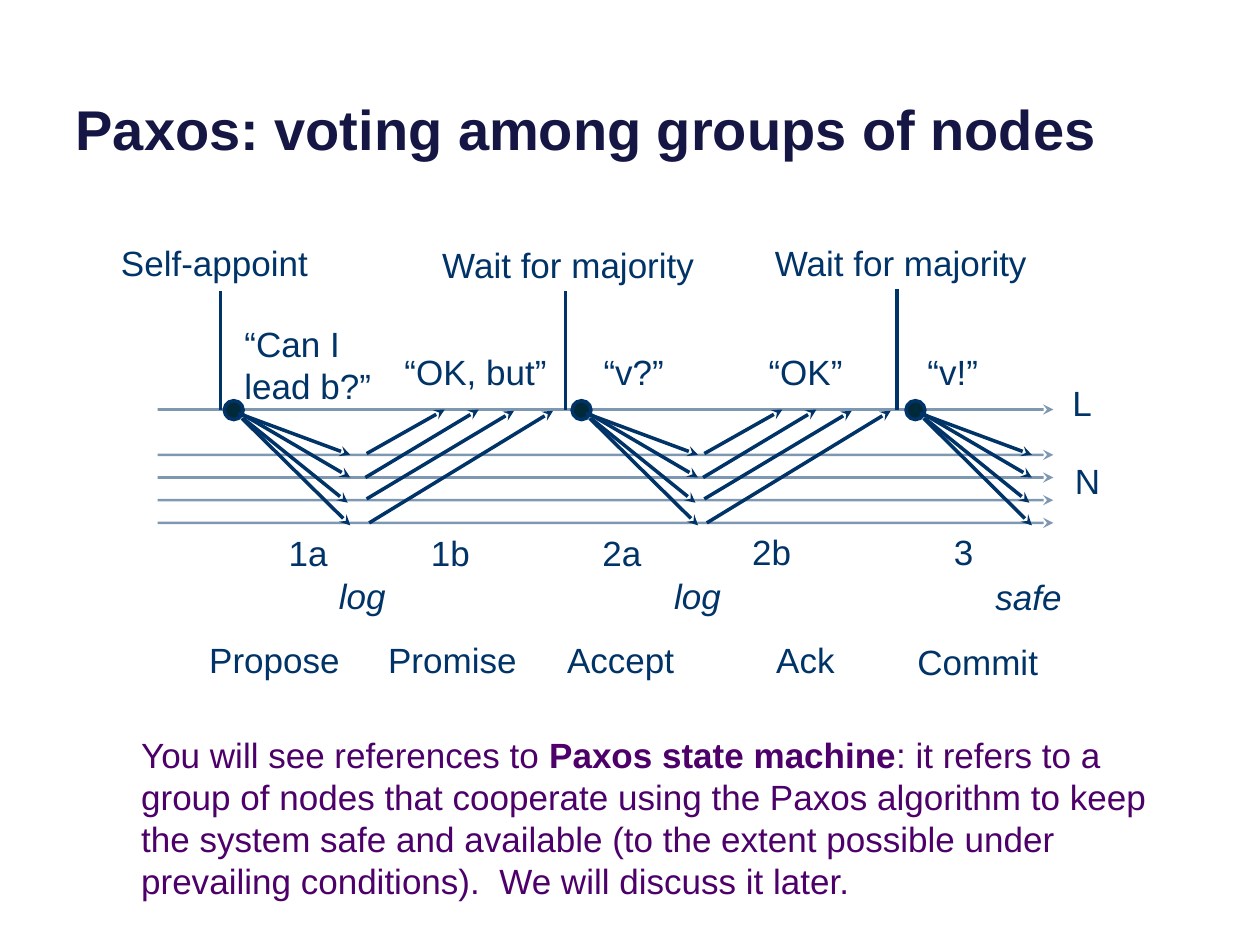
"""Build a slide that shows the rounds of Paxos voting on a timeline."""
import pptx
import pptx.dml.color
import pptx.enum.shapes
import pptx.enum.text
import pptx.oxml
import pptx.util
from pptx.util import Inches

NAVY = "003367"
PLUM = "4D0069"
shade = pptx.dml.color.RGBColor.from_string


def write(frame, text, size=20, color=NAVY, bold=False, italic=False):
    """Add a run of text to the first paragraph of a frame."""
    run = frame.paragraphs[0].add_run()
    run.text = text
    font = run.font
    font.name = "Arial"
    font.size = pptx.util.Pt(size)
    font.bold = bold
    font.italic = italic
    font.color.rgb = shade(color)


def draw(start, end, width=2, arrow=True, alpha=100):
    """Draw a straight line from start to end, with a stealth tip if wanted."""
    link = slide.shapes.add_connector(
        pptx.enum.shapes.MSO_CONNECTOR.STRAIGHT, *map(Inches, start + end))
    link.line.width = pptx.util.Pt(width)
    link.line.color.rgb = shade(NAVY)
    stroke = link.line._get_or_add_ln()
    if alpha < 100:
        tint = stroke.find(".//" + pptx.oxml.ns.qn("a:srgbClr"))
        clear = pptx.oxml.xmlchemy.OxmlElement("a:alpha")
        clear.set("val", str(alpha * 1000))
        tint.append(clear)
    if arrow:
        tip = pptx.oxml.xmlchemy.OxmlElement("a:tailEnd")
        tip.set("type", "stealth")
        stroke.append(tip)
    link._element.spPr.append(pptx.oxml.xmlchemy.OxmlElement("a:effectLst"))


deck = pptx.Presentation()
deck.slide_width = Inches(10)
deck.slide_height = Inches(7.5)
slide = deck.slides.add_slide(deck.slide_layouts[5])

title = slide.shapes.title
title.left, title.top = Inches(0.5), Inches(-0.37)
title.width, title.height = Inches(9), Inches(1.7)
frame = title.text_frame
frame.vertical_anchor = pptx.enum.text.MSO_ANCHOR.BOTTOM
frame.margin_right = Inches(0.14)
frame.paragraphs[0].alignment = pptx.enum.text.PP_ALIGN.LEFT
write(frame, "Paxos: voting among groups of nodes", size=32, color="161645", bold=True)

for y in (4.15, 3.97, 3.79, 3.61, 3.25):
    draw((1.25, y), (8.36, y), width=1.5, alpha=50)

sends = [(0.11, 3.28, 1.0, 3.61), (0.13, 3.28, 1.0, 3.79),
         (0.15, 3.32, 0.98, 3.99), (0.14, 3.32, 1.0, 4.17)]
for left in (1.78, 4.54, 7.19):
    dot = slide.shapes.add_shape(
        pptx.enum.shapes.MSO_SHAPE.OVAL,
        Inches(left), Inches(3.18), Inches(0.15), Inches(0.15))
    dot.shadow.inherit = False
    dot.fill.solid()
    dot.fill.fore_color.rgb = shade("002939")
    dot.line.color.rgb = shade(NAVY)
    dot.line.width = pptx.util.Pt(2)
    for x, y, end, low in sends:
        draw((left + x, y), (left + end, low))

votes = [(2.91, 3.6, 3.53, 3.25), (2.9, 3.79, 3.8, 3.25),
         (2.91, 3.96, 4.08, 3.26), (2.93, 4.15, 4.39, 3.26)]
for shift in (0, 2.68):
    for x, y, end, high in votes:
        draw((x + shift, y), (end + shift, high))

for x, top in ((1.75, 2.31), (4.49, 2.31), (7.12, 2.29)):
    draw((x, top), (x, 3.25), arrow=False)

labels = [
    (0.92, 1.92, 1.65, "Self-appoint"),
    (3.47, 1.93, 2.16, "Wait for majority"),
    (6.11, 1.92, 2.17, "Wait for majority"),
    (3.17, 2.78, 1.3, "“OK, but”"),
    (4.75, 2.78, 0.65, "“v?”"),
    (6.06, 2.78, 0.76, "“OK”"),
    (7.32, 2.78, 0.57, "“v!”"),
    (8.47, 3.03, 0.32, "L"),
    (8.49, 3.65, 0.37, "N"),
    (2.25, 4.22, 0.48, "1a"),
    (3.38, 4.22, 0.48, "1b"),
    (4.74, 4.22, 0.48, "2a"),
    (5.93, 4.21, 0.48, "2b"),
    (7.53, 4.21, 0.32, "3"),
    (1.62, 5.07, 1.2, "Propose"),
    (3.04, 5.07, 1.19, "Promise"),
    (4.46, 5.07, 1.02, "Accept"),
    (6.12, 5.07, 0.63, "Ack"),
    (7.24, 5.08, 1.12, "Commit"),
]
notes = [(2.65, 4.56, 0.54, "log"), (5.31, 4.56, 0.54, "log"), (7.86, 4.57, 0.69, "safe")]
boxes = [(x, y, w, 0.42, [(text, {})]) for x, y, w, text in labels]
boxes += [(x, y, w, 0.42, [(text, {"italic": True})]) for x, y, w, text in notes]
boxes += [
    (1.9, 2.56, 1.38, 0.74, [("“Can I lead b?”", {})]),
    (1.08, 5.82, 8.08, 1.35, [
        ("You will see references to ", {"color": PLUM}),
        ("Paxos state machine", {"color": PLUM, "bold": True}),
        (": it refers to a group of nodes that cooperate using the Paxos algorithm "
         "to keep the system safe and available (to the extent possible under "
         "prevailing conditions).  We will discuss it later.", {"color": PLUM}),
    ]),
]
for left, top, width, height, runs in boxes:
    box = slide.shapes.add_textbox(*map(Inches, (left, top, width, height)))
    frame = box.text_frame
    frame.word_wrap = height > 0.42
    frame.margin_left = frame.margin_right = Inches(0.04)
    frame.margin_top = frame.margin_bottom = 0
    for text, style in runs:
        write(frame, text, **style)

deck.save("out.pptx")
